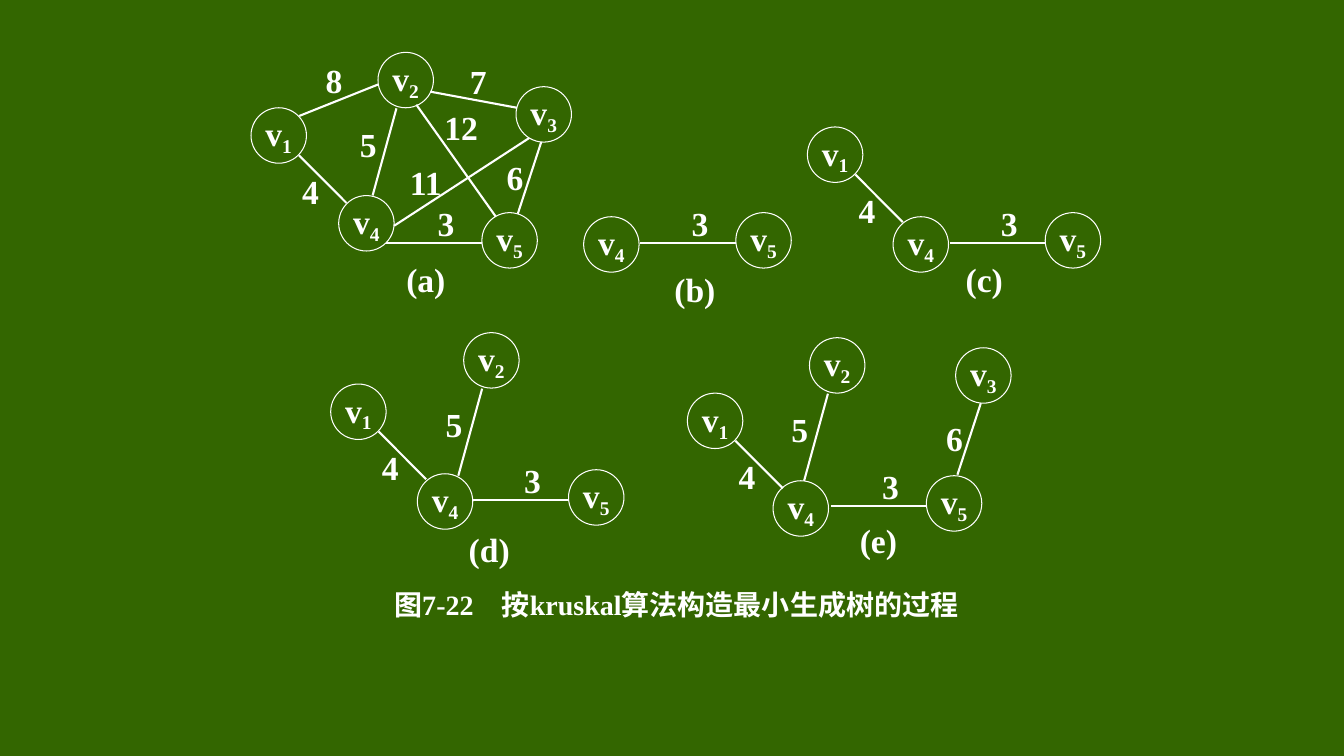
"""Build a slide that shows Kruskal's algorithm growing a minimum spanning tree."""
from dataclasses import dataclass

import lxml.etree
import pptx
import pptx.dml.color
import pptx.enum.shapes
import pptx.enum.text
import pptx.oxml.ns
import pptx.util

Pt = pptx.util.Pt


@dataclass(frozen=True)
class Theme:
    background: str = "336600"
    ink: str = "FFFFFF"
    font: str = "Times New Roman"
    label_size: float = 24
    title_size: float = 20
    outline: float = 0.75
    edge: float = 1.5
    node: float = 39.6
    label_box: tuple = (28.1, 28.1)
    caption_box: tuple = (33.8, 28.1)


@dataclass(frozen=True)
class Edge:
    anchor: str
    start: tuple
    end: tuple
    label: tuple


@dataclass(frozen=True)
class Stage:
    caption: str
    caption_at: tuple
    nodes: dict
    weights: tuple


EDGES = {
    3: Edge("5", (-68.2, 21.6), (0, 21.6), (-39.7, -6.5)),
    4: Edge("1", (34.3, 34), (68.2, 68), (28.5, 45.4)),
    5: Edge("2", (13.2, 40), (-3.8, 102.2), (-21, 51.1)),
    6: Edge("3", (18, 39.6), (1.3, 90.7), (-14.8, 50.4)),
    7: Edge("2", (37.4, 28.1), (99.4, 39.6), (57.6, 6.5)),
    8: Edge("2", (-56.2, 45.4), (0, 23), (-45.4, 5.8)),
    11: Edge("3", (-87.1, 99.4), (9.4, 36.7), (-78.5, 54)),
    12: Edge("2", (27.4, 37.4), (84.2, 117.4), (45.4, 39.6)),
}

STAGES = [
    Stage("(a)", (287.3, 185),
          {"1": (179.3, 77), "2": (270, 37.4), "3": (368.6, 61.9),
           "4": (241.9, 139.7), "5": (344.2, 151.9)},
          (4, 8, 5, 7, 12, 11, 3, 6)),
    Stage("(b)", (479.5, 192.2),
          {"4": (416.9, 154.8), "5": (525.6, 151.9)},
          (3,)),
    Stage("(c)", (686.2, 185),
          {"1": (576.7, 90.7), "4": (637.9, 154.8), "5": (746.6, 151.9)},
          (4, 3)),
    Stage("(d)", (332.6, 378),
          {"1": (236.2, 274.3), "2": (331.2, 237.6), "4": (298.1, 338.4),
           "5": (406.1, 335.5)},
          (5, 4, 3)),
    Stage("(e)", (610.6, 371.5),
          {"1": (491, 280.8), "2": (578.2, 241.2), "3": (682.6, 248.4),
           "4": (552.2, 343.4), "5": (661.7, 339.8)},
          (6, 4, 3, 5)),
]


def shift(origin, offset):
    return origin[0] + offset[0], origin[1] + offset[1]


def points(*values):
    return [Pt(value) for value in values]


class Painter:
    def __init__(self, page, theme):
        self.page = page
        self.theme = theme
        page.background.fill.solid()
        page.background.fill.fore_color.rgb = self.color(theme.background)

    def color(self, value):
        return pptx.dml.color.RGBColor.from_string(value)

    def stroke(self, line, width):
        line.color.rgb = self.color(self.theme.ink)
        line.width = Pt(width)

    def letter(self, shape, text, size, subscript=""):
        frame = shape.text_frame
        frame.word_wrap = False
        frame.vertical_anchor = pptx.enum.text.MSO_ANCHOR.MIDDLE
        frame.margin_left = frame.margin_right = Pt(0)
        frame.margin_top = frame.margin_bottom = Pt(0)
        para = frame.paragraphs[0]
        para.alignment = pptx.enum.text.PP_ALIGN.CENTER
        for part in filter(None, (text, subscript)):
            span = para.add_run()
            span.text = part
            span.font.name = self.theme.font
            span.font.size = Pt(size)
            span.font.bold = True
            span.font.color.rgb = self.color(self.theme.ink)
        if subscript:
            span.font._element.set("baseline", "-20000")

    def text(self, content, at, extent, size):
        box = self.page.shapes.add_textbox(*points(*at, *extent))
        self.letter(box, content, size)

    def node(self, number, at):
        side = self.theme.node
        circle = self.page.shapes.add_shape(
            pptx.enum.shapes.MSO_SHAPE.OVAL, *points(*at, side, side))
        circle.shadow.inherit = False
        circle.fill.background()
        self.stroke(circle.line, self.theme.outline)
        self.letter(circle, "v", self.theme.label_size, number)

    def line(self, start, end):
        connector = self.page.shapes.add_connector(
            pptx.enum.shapes.MSO_CONNECTOR.STRAIGHT, *points(*start, *end))
        self.stroke(connector.line, self.theme.edge)
        lxml.etree.SubElement(connector._element.spPr,
                              pptx.oxml.ns.qn("a:effectLst"))

    def stage(self, stage):
        size = self.theme.label_size
        for number, at in stage.nodes.items():
            self.node(number, at)
        for weight in stage.weights:
            edge = EDGES[weight]
            origin = stage.nodes[edge.anchor]
            self.text(str(weight), shift(origin, edge.label),
                      self.theme.label_box, size)
            self.line(shift(origin, edge.start), shift(origin, edge.end))
        self.text(stage.caption, stage.caption_at, self.theme.caption_box, size)


deck = pptx.Presentation()
deck.slide_width, deck.slide_height = points(960, 540)
painter = Painter(deck.slides.add_slide(deck.slide_layouts[6]), Theme())
for stage in STAGES:
    painter.stage(stage)
painter.text("图7-22\u3000按kruskal算法构造最小生成树的过程",
             (270.7, 417.6), (424.8, 28.1), painter.theme.title_size)
deck.save("out.pptx")
